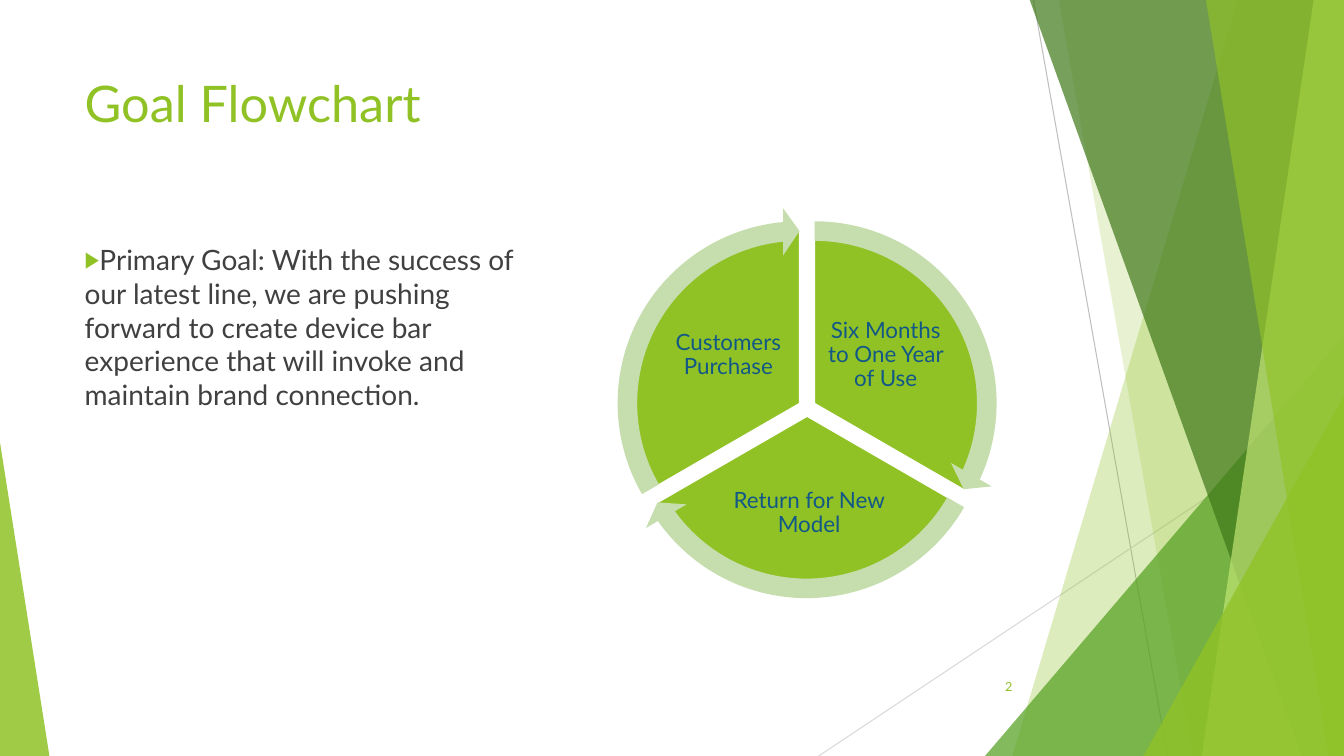
from dataclasses import dataclass

from lxml.etree import SubElement
from pptx import Presentation
from pptx.dml.color import RGBColor
from pptx.enum.shapes import MSO_CONNECTOR, MSO_SHAPE
from pptx.enum.text import MSO_ANCHOR, MSO_AUTO_SIZE, PP_ALIGN
from pptx.oxml.ns import qn
from pptx.shapes.autoshape import Shape
from pptx.slide import Slide
from pptx.text.text import TextFrame
from pptx.util import Emu, Pt

EMU_PER_PX = 9144  # 100 px to the inch
WIDTH, HEIGHT = 1333, 750
TOP = -1  # the facets start just above the page


@dataclass(frozen=True)
class Theme:
    font: str = "Lato"
    white: str = "FFFFFF"
    green: str = "90C226"
    leaf: str = "54A021"
    forest: str = "3F7819"
    lime: str = "C0E474"
    arrow: str = "C6DDAD"
    text: str = "404040"
    label: str = "125886"
    title_size: int = 36
    body_size: int = 20
    label_size: int = 16
    number_size: int = 9


THEME = Theme()


@dataclass(frozen=True)
class Ray:
    start: tuple[int, int]
    end: tuple[int, int]
    color: str


@dataclass(frozen=True)
class Facet:
    """A band with a slanted left edge, reaching the right page edge."""
    top_x: int
    bottom_x: int
    color: str
    opacity: int


@dataclass(frozen=True)
class Corner:
    """A right triangle; apex is 0 for left and 1 for right."""
    box: tuple[int, int, int, int]
    apex: int
    color: str
    opacity: int


@dataclass(frozen=True)
class Step:
    text: str
    pie: tuple[int, int]
    arrow: tuple[int, int]
    label: tuple[int, int, int, int]


RAYS = [
    Ray((1025, 0), (1158, HEIGHT), "BFBFBF"),
    Ray((WIDTH, 403), (812, HEIGHT), "D9D9D9"),
]
BACKDROP = [
    Facet(1228, 1004, THEME.green, 30),
    Facet(1050, 1183, THEME.green, 20),
    Corner((977, 333, 356, 417), 1, THEME.leaf, 72),
    Facet(1021, 1291, THEME.forest, 70),
    Facet(1303, 1192, THEME.lime, 70),
    Facet(1196, 1318, THEME.green, 65),
    Corner((1134, 393, 199, 357), 1, THEME.green, 80),
    Corner((0, 439, 49, 311), 0, THEME.green, 85),
]
STEPS = [
    Step("Six Months to One Year of Use", (635, 228), (614, 206), (817, 301, 123, 103)),
    Step("Return for New Model", (628, 240), (606, 219), (710, 464, 185, 90)),
    Step("Customers Purchase", (621, 228), (599, 206), (661, 301, 123, 103)),
]
PIE_SIZE, ARROW_SIZE = 345, 388
# Angles are in degrees; an adjustment of 0.6 is one degree
DEGREE = 0.6
FIRST_ANGLE, STEP_ANGLE = 270, 120


def px(*values: int) -> list[Emu]:
    return [Emu(value * EMU_PER_PX) for value in values]


def paint(shape: Shape, color: str, opacity: int = 100) -> None:
    shape.shadow.inherit = False
    shape.fill.solid()
    shape.fill.fore_color.rgb = RGBColor.from_string(color)
    shape.line.fill.background()
    if opacity < 100:
        tint = shape._element.spPr.find(".//" + qn("a:srgbClr"))
        SubElement(tint, qn("a:alpha"), val=str(opacity * 1000))


def write(frame: TextFrame, text: str, *, size: int, color: str,
          align: PP_ALIGN = PP_ALIGN.LEFT, anchor: MSO_ANCHOR = MSO_ANCHOR.TOP,
          inset: int | None = None, line_spacing: float = 1.0,
          before: float = 0, after: float = 0, bullet: str = "") -> None:
    frame.word_wrap = True
    frame.auto_size = MSO_AUTO_SIZE.NONE
    frame.vertical_anchor = anchor
    if inset is not None:
        frame.margin_left, frame.margin_top, frame.margin_right, frame.margin_bottom = px(*[inset] * 4)
    para = frame.paragraphs[0]
    para.alignment = align
    para.line_spacing = line_spacing
    para.space_before, para.space_after = Pt(before), Pt(after)
    span = para.add_run()
    span.text = text
    span.font.name = THEME.font
    span.font.size = Pt(size)
    span.font.color.rgb = RGBColor.from_string(color)
    if bullet:
        props = para._p.get_or_add_pPr()
        props.set("marL", "0")
        props.set("indent", "0")
        SubElement(SubElement(props, qn("a:buClr")), qn("a:srgbClr"), val=THEME.green)
        SubElement(props, qn("a:buSzPct"), val="80000")
        SubElement(props, qn("a:buChar"), char=bullet)


def draw_ray(page: Slide, ray: Ray) -> None:
    line = page.shapes.add_connector(MSO_CONNECTOR.STRAIGHT, *px(*ray.start, *ray.end))
    line.line.color.rgb = RGBColor.from_string(ray.color)
    line.line.width = Pt(0.75)
    SubElement(line._element.spPr, qn("a:effectLst"))


def draw_facet(page: Slide, facet: Facet) -> None:
    outline = page.shapes.build_freeform(facet.top_x, TOP, scale=EMU_PER_PX)
    outline.add_line_segments([(WIDTH, TOP), (WIDTH, HEIGHT), (facet.bottom_x, HEIGHT)])
    paint(outline.convert_to_shape(), facet.color, facet.opacity)


def draw_preset(page: Slide, kind: MSO_SHAPE, box: tuple[int, int, int, int],
                adjustments: list[float], color: str, opacity: int = 100) -> Shape:
    shape = page.shapes.add_shape(kind, *px(*box))
    for index, value in enumerate(adjustments):
        shape.adjustments[index] = value
    paint(shape, color, opacity)
    return shape


def draw_backdrop(page: Slide) -> None:
    for ray in RAYS:
        draw_ray(page, ray)
    for piece in BACKDROP:
        if isinstance(piece, Facet):
            draw_facet(page, piece)
        else:
            draw_preset(page, MSO_SHAPE.ISOSCELES_TRIANGLE, piece.box, [piece.apex],
                        piece.color, piece.opacity)


def draw_cycle(page: Slide) -> None:
    starts = [(FIRST_ANGLE + STEP_ANGLE * index) % 360 for index in range(len(STEPS))]
    # Segments and their labels
    for step, start in zip(STEPS, starts):
        end = (start + STEP_ANGLE) % 360
        pie = draw_preset(page, MSO_SHAPE.PIE, (*step.pie, PIE_SIZE, PIE_SIZE),
                          [start * DEGREE, end * DEGREE], THEME.green)
        pie.line.color.rgb = RGBColor.from_string(THEME.white)
        pie.line.width = Pt(1.5)
        label = page.shapes.add_textbox(*px(*step.label))
        write(label.text_frame, step.text, size=THEME.label_size, color=THEME.label,
              align=PP_ALIGN.CENTER, anchor=MSO_ANCHOR.MIDDLE, inset=2,
              line_spacing=0.9, after=5.6)
    # Arrows around the rim, each head ending just short of the next segment
    for step, start in zip(STEPS, starts):
        tip = (start + STEP_ANGLE) % 360 * DEGREE - 3.28
        draw_preset(page, MSO_SHAPE.CIRCULAR_ARROW, (*step.arrow, ARROW_SIZE, ARROW_SIZE),
                    [0.05, 3.28, tip, start * DEGREE, 0.06], THEME.arrow)


def main() -> None:
    deck = Presentation()
    deck.slide_width, deck.slide_height = px(WIDTH, HEIGHT)
    page = deck.slides.add_slide(deck.slide_layouts[1])
    draw_backdrop(page)

    # Title and goal
    title, body = page.shapes.title, page.placeholders[1]
    title.left, title.top, title.width, title.height = px(74, 67, 940, 144)
    write(title.text_frame, "Goal Flowchart", size=THEME.title_size, color=THEME.green)
    body.left, body.top, body.width, body.height = px(74, 236, 458, 424)
    write(body.text_frame,
          "Primary Goal: With the success of our latest line, we are pushing forward to "
          "create device bar experience that will invoke and maintain brand connection.",
          size=THEME.body_size, color=THEME.text, before=10, bullet="▶")

    # Page number
    number = page.shapes.add_textbox(*px(939, 661, 75, 40))
    write(number.text_frame, "2", size=THEME.number_size, color=THEME.green,
          align=PP_ALIGN.RIGHT, anchor=MSO_ANCHOR.MIDDLE)

    draw_cycle(page)
    deck.save("out.pptx")


if __name__ == "__main__":
    main()
